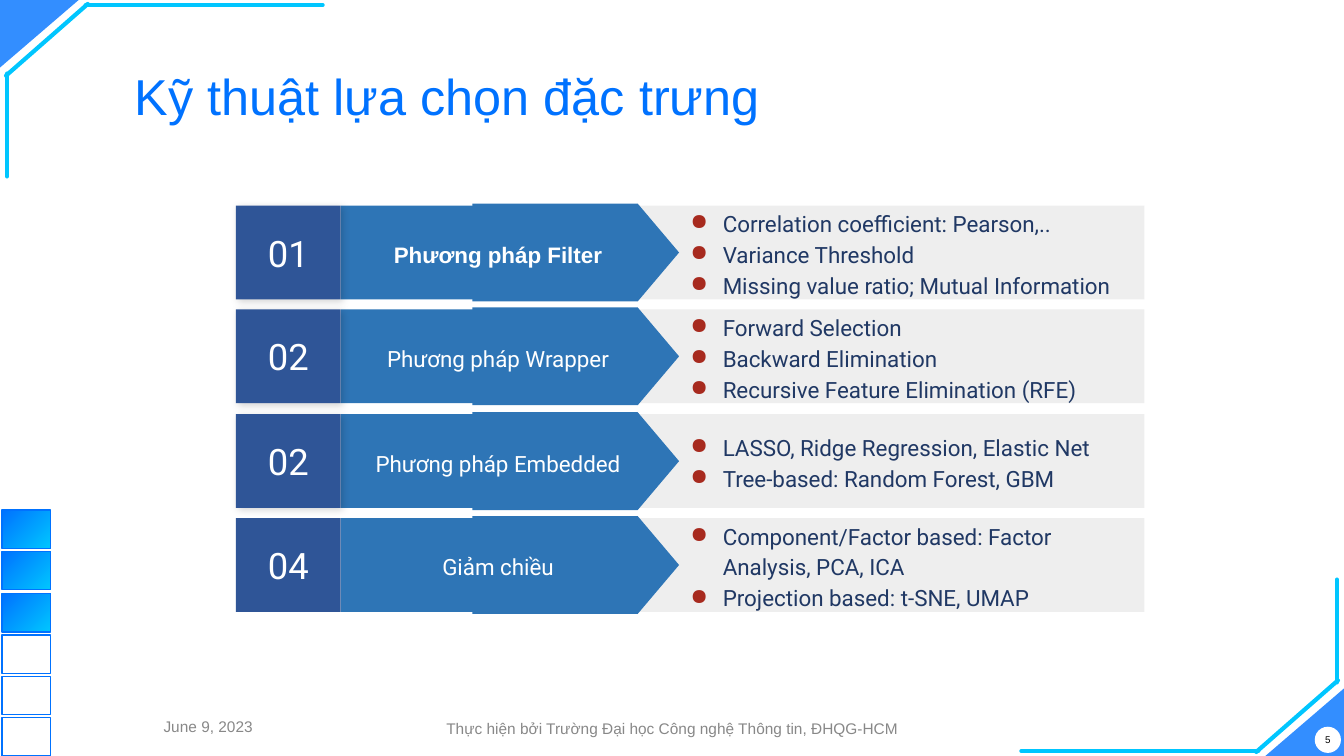
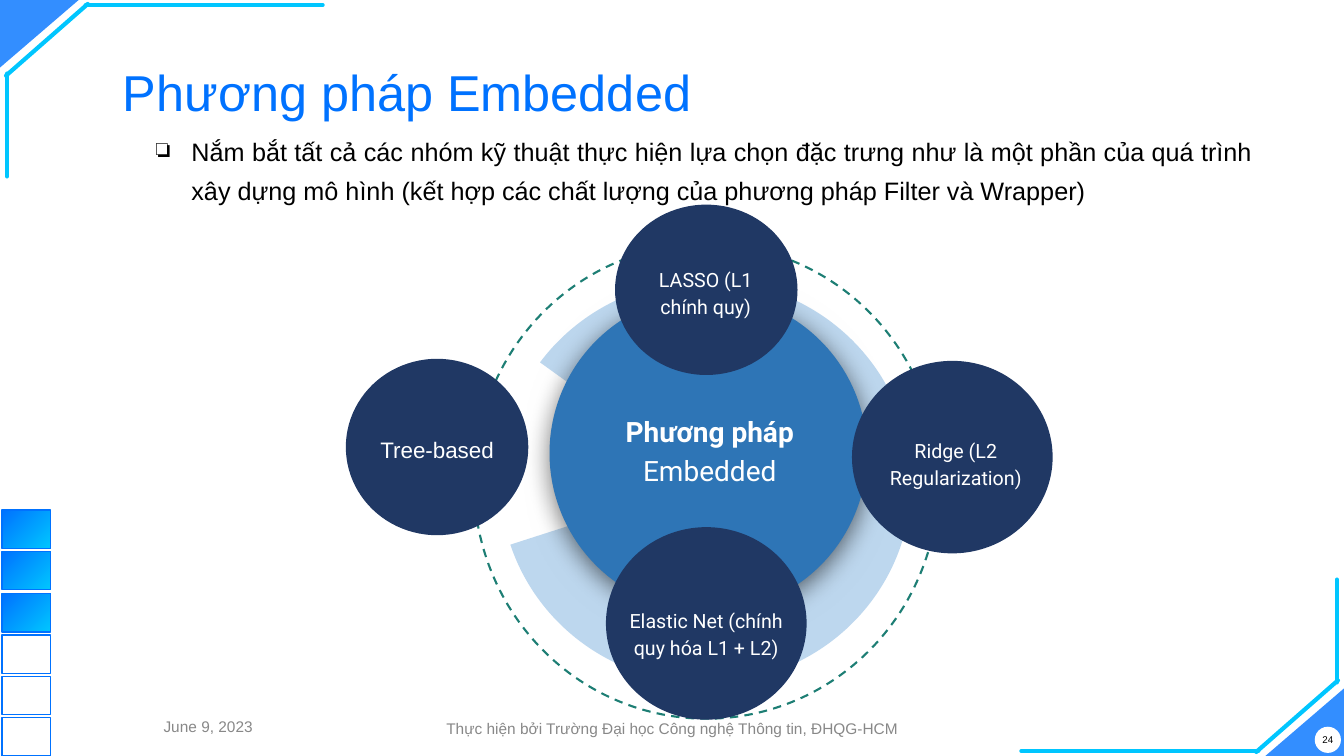
from lxml import etree
from pptx import Presentation
from pptx.dml.color import RGBColor
from pptx.enum import dml, shapes, text
from pptx.oxml.ns import qn
from pptx.util import Emu, Pt

EMU_PER_PX = 9144  # 100 px to the inch
WIDTH, HEIGHT = 1333, 750

BLUE, CYAN, WHITE, BLACK = "0072FF", "00C6FF", "FFFFFF", "000000"
FOOTER_GREY, BAND_GREY = "888888", "EEEEEE"
MID_BLUE, NUMBER_BLUE, NAVY, PALE_BLUE = "2E75B6", "2F5597", "203864", "BDD7EE"
BULLET_RED, TEAL = "A72A1E", "1D7E74"

SHAPE = shapes.MSO_SHAPE
ALIGN = text.PP_ALIGN
ANCHOR = text.MSO_ANCHOR

FOOTER = "Thực hiện bởi Trường Đại học Công nghệ Thông tin, ĐHQG-HCM"
DATE = "June 9, 2023"


def px(value):
    return Emu(round(value * EMU_PER_PX))


def rgb(value):
    return RGBColor.from_string(value)


def sub(parent, tag, **attributes):
    element = etree.SubElement(parent, qn(tag))
    for name, value in attributes.items():
        element.set(name, str(value))
    return element


# Drawing helpers
def add_shape(slide, kind, box, fill=None, line=None, weight=1):
    shape = slide.shapes.add_shape(kind, *map(px, box))
    shape.shadow.inherit = False
    if fill:
        shape.fill.solid()
        shape.fill.fore_color.rgb = rgb(fill)
    else:
        shape.fill.background()
    if line:
        shape.line.color.rgb = rgb(line)
        shape.line.width = Pt(weight)
    else:
        shape.line.fill.background()
    return shape


def add_shadow(shape, alpha, blur, distance, angle):
    effects = shape.element.spPr.find(qn("a:effectLst"))
    shadow = sub(effects, "a:outerShdw", blurRad=Pt(blur), dist=Pt(distance),
                 dir=angle * 60000, algn="bl", rotWithShape=0)
    color = sub(shadow, "a:srgbClr", val=BLACK)
    sub(color, "a:alpha", val=alpha * 1000)


def add_line(slide, start, end):
    connector = slide.shapes.add_connector(
        shapes.MSO_CONNECTOR.STRAIGHT, *map(px, start + end))
    connector.line.color.rgb = rgb(CYAN)
    connector.line.width = Pt(3)
    properties = connector.element.spPr
    properties.find(qn("a:ln")).set("cap", "rnd")
    sub(properties, "a:effectLst")


def add_bullet(paragraph, symbol, color, hanging):
    properties = paragraph._p.get_or_add_pPr()
    properties.set("marL", str(px(50)))
    properties.set("indent", str(-px(hanging)))
    sub(sub(properties, "a:buClr"), "a:srgbClr", val=color)
    sub(properties, "a:buChar", char=symbol)


def write(shape, paragraphs, size, color, font="Roboto", align=ALIGN.CENTER,
          anchor=ANCHOR.MIDDLE, spacing=None, inset=10, bullet=None):
    """Each paragraph is a list of (text, bold) runs."""
    frame = shape.text_frame
    frame.word_wrap = True
    frame.vertical_anchor = anchor
    frame.margin_left = frame.margin_right = px(inset)
    frame.margin_top = frame.margin_bottom = px(inset)
    for index, runs in enumerate(paragraphs):
        paragraph = frame.add_paragraph() if index else frame.paragraphs[0]
        if bullet:
            add_bullet(paragraph, *bullet)
        paragraph.alignment = align
        if spacing:
            paragraph.line_spacing = spacing
        for words, bold in runs:
            run = paragraph.add_run()
            run.text = words
            run.font.name = font
            run.font.size = Pt(size)
            run.font.bold = bold
            run.font.color.rgb = rgb(color)


def add_text(slide, box, paragraphs, size, color, **style):
    write(slide.shapes.add_textbox(*map(px, box)), paragraphs, size, color, **style)


# Parts shared by all slides
def add_corner(slide, opposite=False):
    def place(x, y):
        return (WIDTH - x, HEIGHT - y) if opposite else (x, y)

    left, top = (WIDTH - 78, HEIGHT - 67) if opposite else (0, 0)
    triangle = add_shape(slide, SHAPE.ISOSCELES_TRIANGLE, (left, top, 78, 67), BLUE)
    triangle.adjustments[0] = 1
    triangle.rotation = 0 if opposite else 180
    color = triangle.element.spPr.find(qn("a:solidFill"))[0]
    sub(color, "a:alpha", val=80000)
    for start, end in (((320, 5), (85, 5)), ((87, 4), (6, 75)), ((7, 175), (7, 73))):
        add_line(slide, place(*start), place(*end))


def add_progress(slide, left, top, filled=3, total=6):
    for index in range(total):
        box = (left, top + round(index * 41.3), 48, 38)
        square = add_shape(slide, SHAPE.RECTANGLE, box, line=BLUE)
        if index < filled:
            square.fill.gradient()
            square.fill.gradient_angle = 315
            for stop, color in zip(square.fill.gradient_stops, (BLUE, CYAN)):
                stop.color.rgb = rgb(color)


def add_footer(slide, number):
    badge = add_shape(slide, SHAPE.OVAL, (1304, 721, 26, 26), WHITE)
    write(badge, [[(str(number), False)]], 7, BLACK, font="Arial", inset=0)
    badge.text_frame.word_wrap = False
    for box, words in (((399, 708, 536, 29), FOOTER), ((92, 706, 229, 29), DATE)):
        add_text(slide, box, [[(words, False)]], 11, FOOTER_GREY, font="Arial", inset=5)


def new_slide(presentation, number, title, left, top, spacing=None):
    slide = presentation.slides.add_slide(presentation.slide_layouts[6])
    add_corner(slide)
    add_corner(slide, opposite=True)
    add_progress(slide, 2, 506)
    add_footer(slide, number)
    add_text(slide, (left, top, 932, 63), [[(title, False)]], 36, BLUE, font="Arial",
             align=ALIGN.LEFT, anchor=ANCHOR.TOP, spacing=spacing)
    return slide


# Techniques slide
TECHNIQUES = [
    ("01", "Phương pháp Filter",
     ["Correlation coefficient: Pearson,..", "Variance Threshold",
      "Missing value ratio; Mutual Information"]),
    ("02", "Phương pháp Wrapper",
     ["Forward Selection", "Backward Elimination",
      "Recursive Feature Elimination (RFE)"]),
    ("02", "Phương pháp Embedded",
     ["LASSO, Ridge Regression, Elastic Net", "Tree-based: Random Forest, GBM"]),
    ("04", "Giảm chiều",
     ["Component/Factor based: Factor Analysis, PCA, ICA",
      "Projection based: t-SNE, UMAP"]),
]


def add_technique(slide, box, number, name, examples, emphasis, shadow):
    left, top, width, height = box
    # Grey band and blue arrow
    add_shape(slide, SHAPE.RECTANGLE, (left + 323, top, width - 323, height), BAND_GREY)
    add_shape(slide, SHAPE.RECTANGLE, (left + 104, top, 279, height), MID_BLUE)
    breadth, length = height + 4, 205
    arrow_box = (left + 337 - breadth / 2, top + (height - length) / 2, breadth, length)
    arrow = add_shape(slide, SHAPE.FLOWCHART_OFFPAGE_CONNECTOR, arrow_box, MID_BLUE)
    arrow.rotation = 270
    add_text(slide, (left + 113, top + 11, 294, height - 22), [[(name, emphasis)]], 16,
             WHITE, font="Arial" if emphasis else "Roboto", spacing=1.15)
    # Number
    tile = add_shape(slide, SHAPE.RECTANGLE, (left, top, 104, height), NUMBER_BLUE)
    if shadow:
        add_shadow(tile, 17, 5.6, 2.2, 45)
    write(tile, [[(number, False)]], 26, WHITE)
    # Examples
    add_text(slide, (left + 423, top, 465, height), [[(item, False)] for item in examples],
             16, NAVY, align=ALIGN.LEFT, spacing=1.15, bullet=("●", BULLET_RED, 32))


def build_techniques(presentation):
    slide = new_slide(presentation, 5, "Kỹ thuật lựa chọn đặc trưng", 124, 55)
    for index, technique in enumerate(TECHNIQUES):
        add_technique(slide, (234, 204 + round(index * 103.4), 901, 93), *technique,
                      emphasis=index == 0, shadow=index < 3)


# Embedded methods slide: circle box, label box, label, size, font
SATELLITES = [
    ((610, 203, 181, 169), (619, 249, 162, 81), "LASSO (L1 chính quy)", 14, "Roboto"),
    ((601, 523, 199, 191), (601, 569, 199, 116),
     "Elastic Net (chính quy hóa L1 + L2)", 14, "Roboto"),
    ((343, 356, 181, 175), (343, 356, 181, 175), "Tree-based", 16, "Arial"),
    ((845, 358, 199, 191), (854, 407, 188, 104), "Ridge (L2 Regularization)", 14, "Roboto"),
]


def add_hub(slide, left, top):
    orbit = add_shape(slide, SHAPE.OVAL, (left, top, 461, 471), line=TEAL, weight=1.5)
    orbit.line.dash_style = dml.MSO_LINE.DASH
    halo = add_shape(slide, SHAPE.PIE, (left + 26, top + 36, 408, 400), PALE_BLUE)
    for index, degrees in enumerate((215.77, 162.15)):
        halo.adjustments[index] = degrees * 0.6
    core = add_shape(slide, SHAPE.OVAL, (left + 75, top + 50, 315, 315), MID_BLUE)
    add_shadow(core, 55, 18, 4, 90)
    add_text(slide, (left + 98, top + 131, 272, 144),
             [[("Phương pháp ", True), ("Embedded", False)]], 20, WHITE, spacing=1.15)


def build_embedded(presentation):
    slide = new_slide(presentation, 24, "Phương pháp Embedded", 112, 57, spacing=0.9)
    summary = ("Nắm bắt tất cả các nhóm kỹ thuật thực hiện lựa chọn đặc trưng như là "
               "một phần của quá trình xây dựng mô hình (kết hợp các chất lượng của "
               "phương pháp Filter và Wrapper)")
    add_text(slide, (130, 116, 1122, 151), [[(summary, False)]], 18, BLACK, font="Arial",
             align=ALIGN.JUSTIFY, anchor=ANCHOR.TOP, spacing=1.3, bullet=("❏", BLACK, 35))
    add_hub(slide, 470, 242)
    for circle_box, label_box, label, size, font in SATELLITES:
        add_shape(slide, SHAPE.OVAL, circle_box, NAVY)
        add_text(slide, label_box, [[(label, False)]], size, WHITE, font=font, spacing=1.15)


def main():
    presentation = Presentation()
    presentation.slide_width, presentation.slide_height = px(WIDTH), px(HEIGHT)
    build_techniques(presentation)
    build_embedded(presentation)
    presentation.save("out.pptx")


if __name__ == "__main__":
    main()
